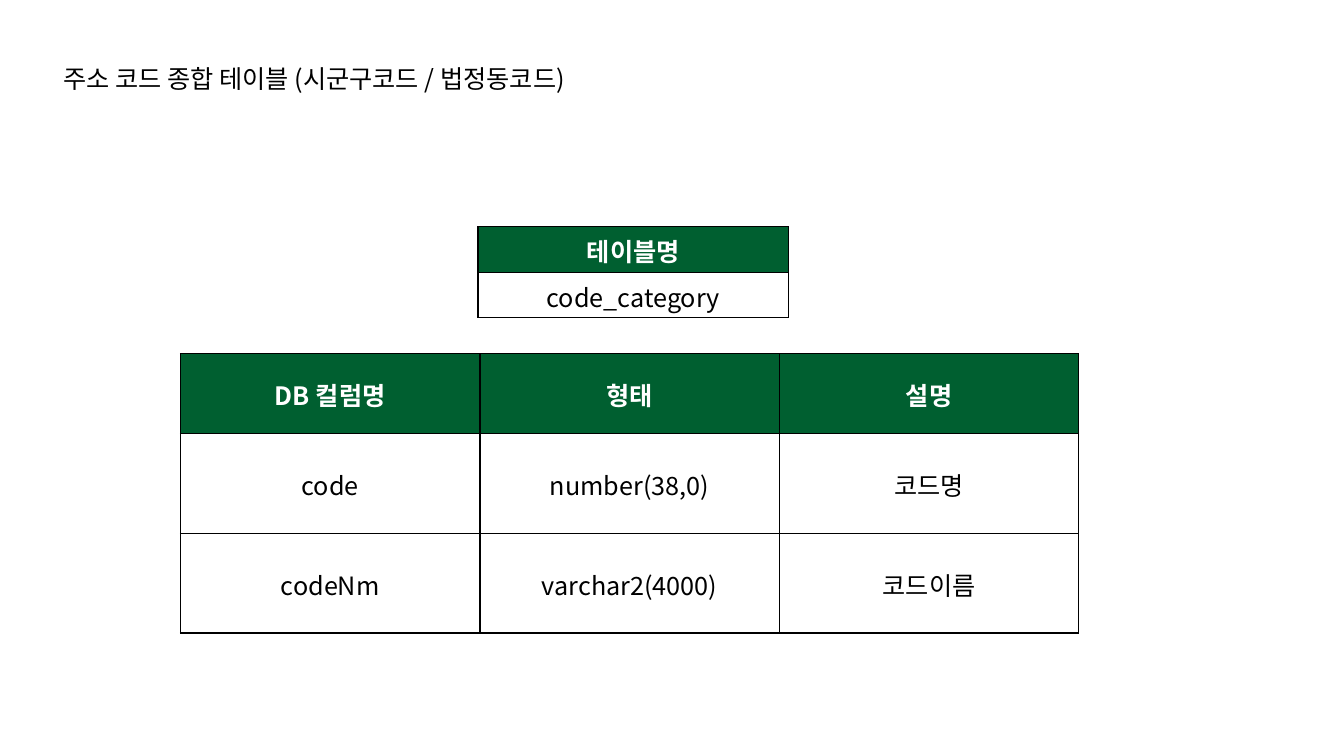
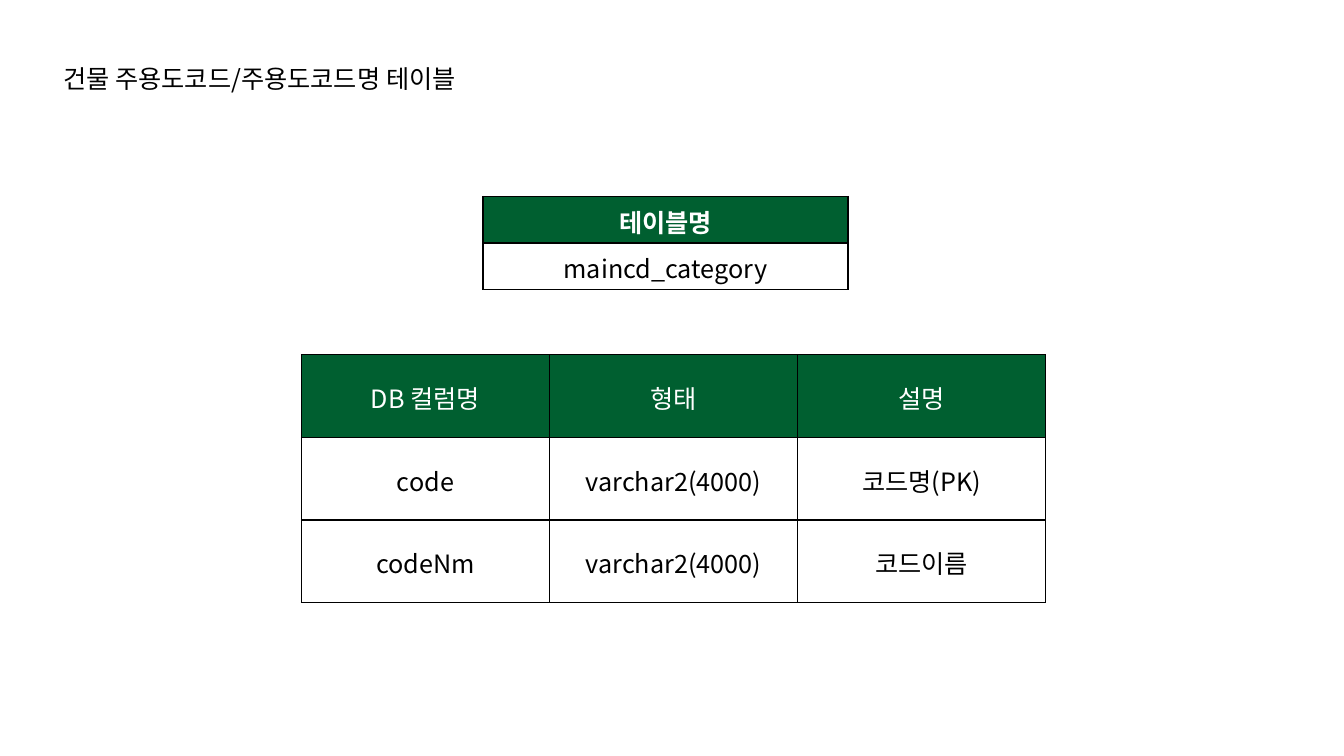
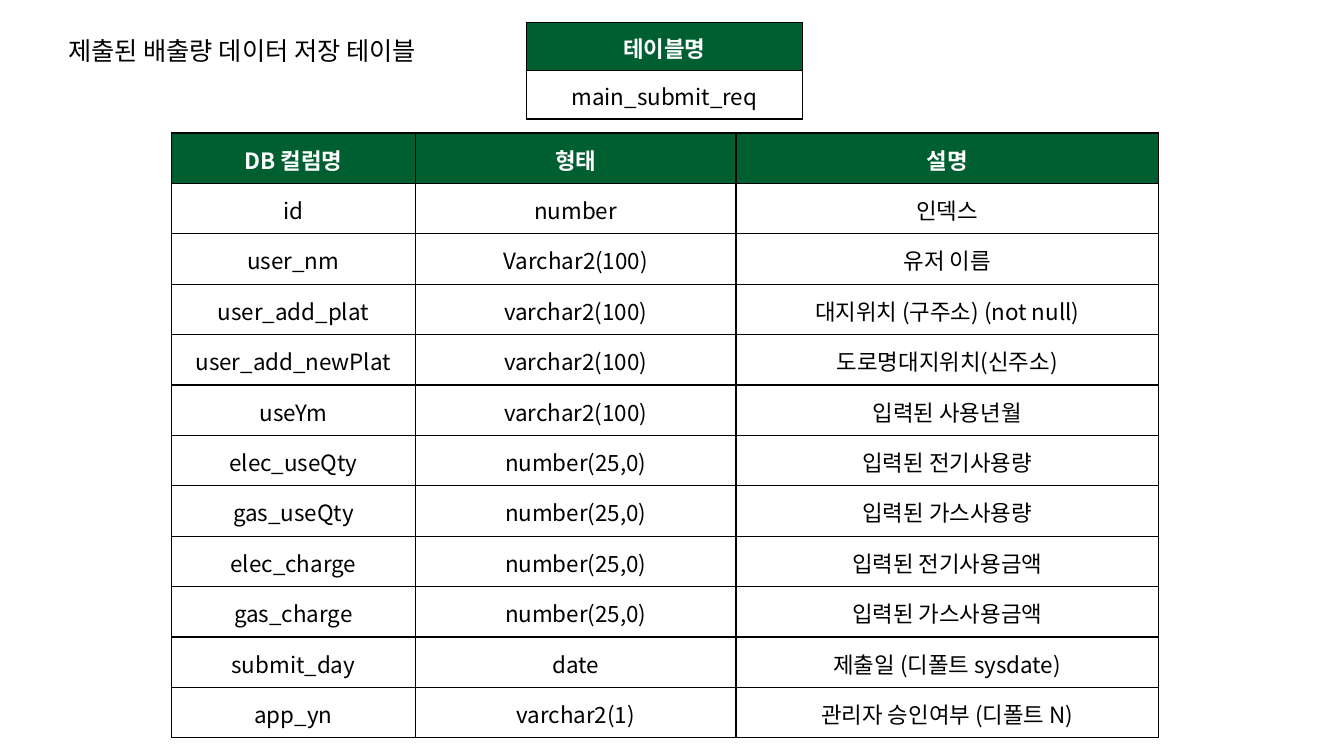
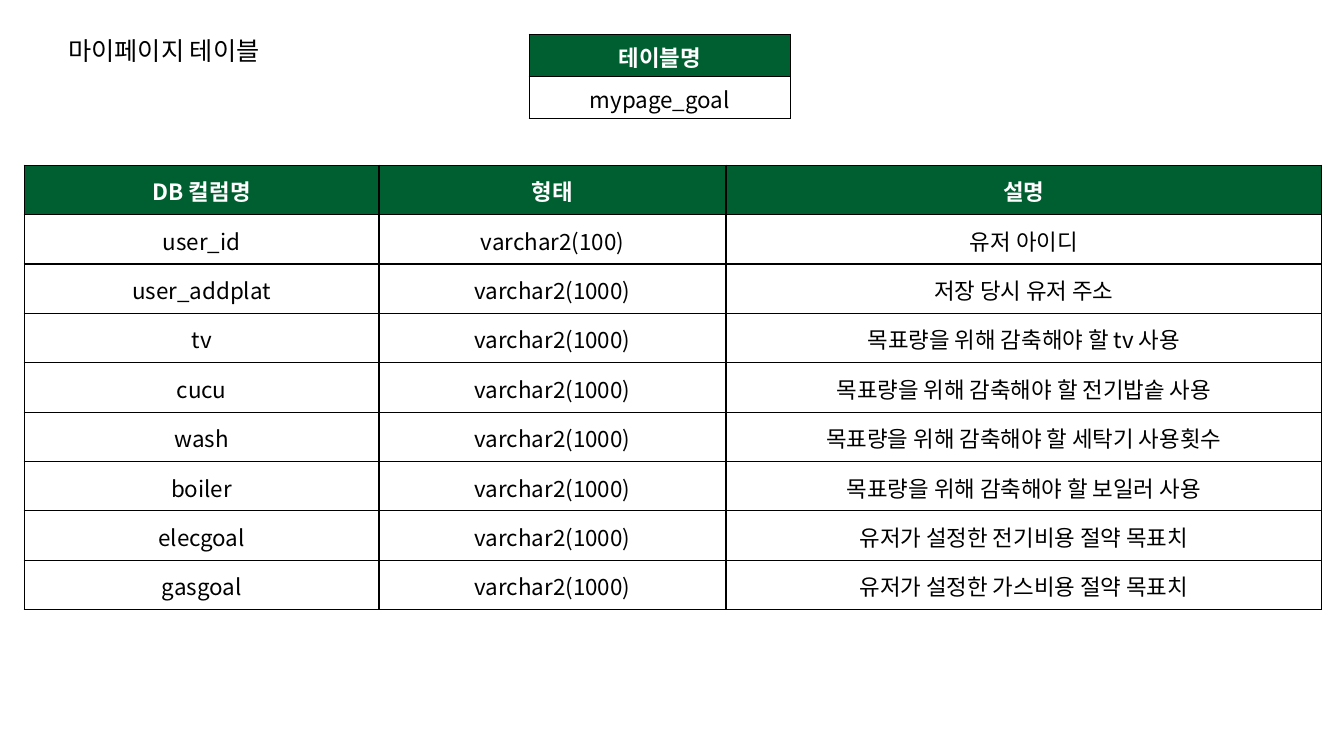
from lxml.etree import SubElement
from pptx import Presentation
from pptx.dml.color import RGBColor
from pptx.enum.text import MSO_ANCHOR, MSO_AUTO_SIZE, PP_ALIGN
from pptx.oxml.ns import qn
from pptx.util import Inches, Pt

COLORS = {"header": "005F30", "paper": "FFFFFF", "ink": "000000"}
FONT = "Noto Sans CJK KR"
COLUMN_HEADS = ("DB 컬럼명", "형태", "설명")


def rgb(name):
    return RGBColor.from_string(COLORS[name])


def style_run(r, size, color, bold=False):
    r.font.name = FONT
    r.font.size = Pt(size)
    r.font.bold = bold
    r.font.color.rgb = rgb(color)
    SubElement(r.font._element, qn("a:ea"), typeface=FONT)


def add_title(slide, text, left, top, width):
    sp = slide.shapes.add_textbox(Inches(left), Inches(top), Inches(width), Inches(0.4))
    tf = sp.text_frame
    tf.text = text
    tf.word_wrap = False
    tf.auto_size = MSO_AUTO_SIZE.SHAPE_TO_FIT_TEXT
    style_run(tf.paragraphs[0].runs[0], 18, "ink")


def add_borders(cell):
    tc_pr = cell._tc.get_or_add_tcPr()
    for side in ("a:lnL", "a:lnR", "a:lnT", "a:lnB"):
        line = SubElement(tc_pr, qn(side), w=str(Pt(1)))
        fill = SubElement(line, qn("a:solidFill"))
        SubElement(fill, qn("a:srgbClr"), val=COLORS["ink"])


def fill_cell(cell, text, size, is_header, bold):
    add_borders(cell)
    cell.fill.solid()
    cell.fill.fore_color.rgb = rgb("header" if is_header else "paper")
    cell.margin_left = cell.margin_right = Inches(0.07)
    cell.margin_top = cell.margin_bottom = 0
    cell.vertical_anchor = MSO_ANCHOR.MIDDLE
    p = cell.text_frame.paragraphs[0]
    p.text = text
    p.alignment = PP_ALIGN.CENTER
    p.line_spacing = 1.07
    style_run(p.runs[0], size, "paper" if is_header else "ink", bold)


def add_grid(slide, rows, left, top, widths, row_height, size,
             header_height=None, bold_header=True):
    heights = [header_height or row_height] + [row_height] * (len(rows) - 1)
    frame = slide.shapes.add_table(len(rows), len(widths), Inches(left), Inches(top),
                                   Inches(sum(widths)), Inches(sum(heights)))
    table = frame.table
    table.first_row = table.horz_banding = False
    for column, width in zip(table.columns, widths):
        column.width = Inches(width)
    for i, (row, height, texts) in enumerate(zip(table.rows, heights, rows)):
        row.height = Inches(height)
        for cell, text in zip(row.cells, texts):
            fill_cell(cell, text, size, i == 0, i == 0 and bold_header)


def add_schema_slide(prs, title, title_at, name, name_at, name_width, name_height,
                     fields, fields_at, widths, row_height, size=18, **header):
    slide = prs.slides.add_slide(prs.slide_layouts[6])
    add_title(slide, title, *title_at)
    add_grid(slide, [("테이블명",), (name,)], *name_at, [name_width], name_height, size)
    add_grid(slide, [COLUMN_HEADS, *fields], *fields_at, widths, row_height, size, **header)


def main():
    prs = Presentation()
    prs.slide_width, prs.slide_height = Inches(13.33), Inches(7.5)

    add_schema_slide(
        prs, "주소 코드 종합 테이블 (시군구코드 / 법정동코드)", (0.53, 0.58, 5.79),
        "code_category", (4.74, 2.25), 3.08, 0.45,
        [("code", "number(38,0)", "코드명"),
         ("codeNm", "varchar2(4000)", "코드이름")],
        (1.79, 3.51), [2.97] * 3, 0.99, header_height=0.79)

    add_schema_slide(
        prs, "건물 주용도코드/주용도코드명 테이블", (0.53, 0.58, 4.52),
        "maincd_category", (4.79, 1.95), 3.62, 0.46,
        [("code", "varchar2(4000)", "코드명(PK)"),
         ("codeNm", "varchar2(4000)", "코드이름")],
        (2.99, 3.52), [2.46] * 3, 0.82, bold_header=False)

    add_schema_slide(
        prs, "제출된 배출량 데이터 저장 테이블", (0.58, 0.3, 4.09),
        "main_submit_req", (5.22, 0.22), 2.74, 0.48,
        [("id", "number", "인덱스"),
         ("user_nm", "Varchar2(100)", "유저 이름"),
         ("user_add_plat", "varchar2(100)", "대지위치 (구주소) (not null)"),
         ("user_add_newPlat", "varchar2(100)", "도로명대지위치(신주소)"),
         ("useYm", "varchar2(100)", "입력된 사용년월"),
         ("elec_useQty", "number(25,0)", "입력된 전기사용량"),
         ("gas_useQty", "number(25,0)", "입력된 가스사용량"),
         ("elec_charge", "number(25,0)", "입력된 전기사용금액"),
         ("gas_charge", "number(25,0)", "입력된 가스사용금액"),
         ("submit_day", "date", "제출일 (디폴트 sysdate)"),
         ("app_yn", "varchar2(1)", "관리자 승인여부 (디폴트 N)")],
        (1.7, 1.32), [2.42, 3.18, 4.19], 0.5, size=16)

    add_schema_slide(
        prs, "마이페이지 테이블", (0.58, 0.3, 2.31),
        "mypage_goal", (5.25, 0.34), 2.59, 0.42,
        [("user_id", "varchar2(100)", "유저 아이디"),
         ("user_addplat", "varchar2(1000)", "저장 당시 유저 주소"),
         ("tv", "varchar2(1000)", "목표량을 위해 감축해야 할 tv 사용"),
         ("cucu", "varchar2(1000)", "목표량을 위해 감축해야 할 전기밥솥 사용"),
         ("wash", "varchar2(1000)", "목표량을 위해 감축해야 할 세탁기 사용횟수"),
         ("boiler", "varchar2(1000)", "목표량을 위해 감축해야 할 보일러 사용"),
         ("elecgoal", "varchar2(1000)", "유저가 설정한 전기비용 절약 목표치"),
         ("gasgoal", "varchar2(1000)", "유저가 설정한 가스비용 절약 목표치")],
        (0.24, 1.64), [3.52, 3.44, 5.91], 0.49, size=16)

    prs.save("out.pptx")


if __name__ == "__main__":
    main()
